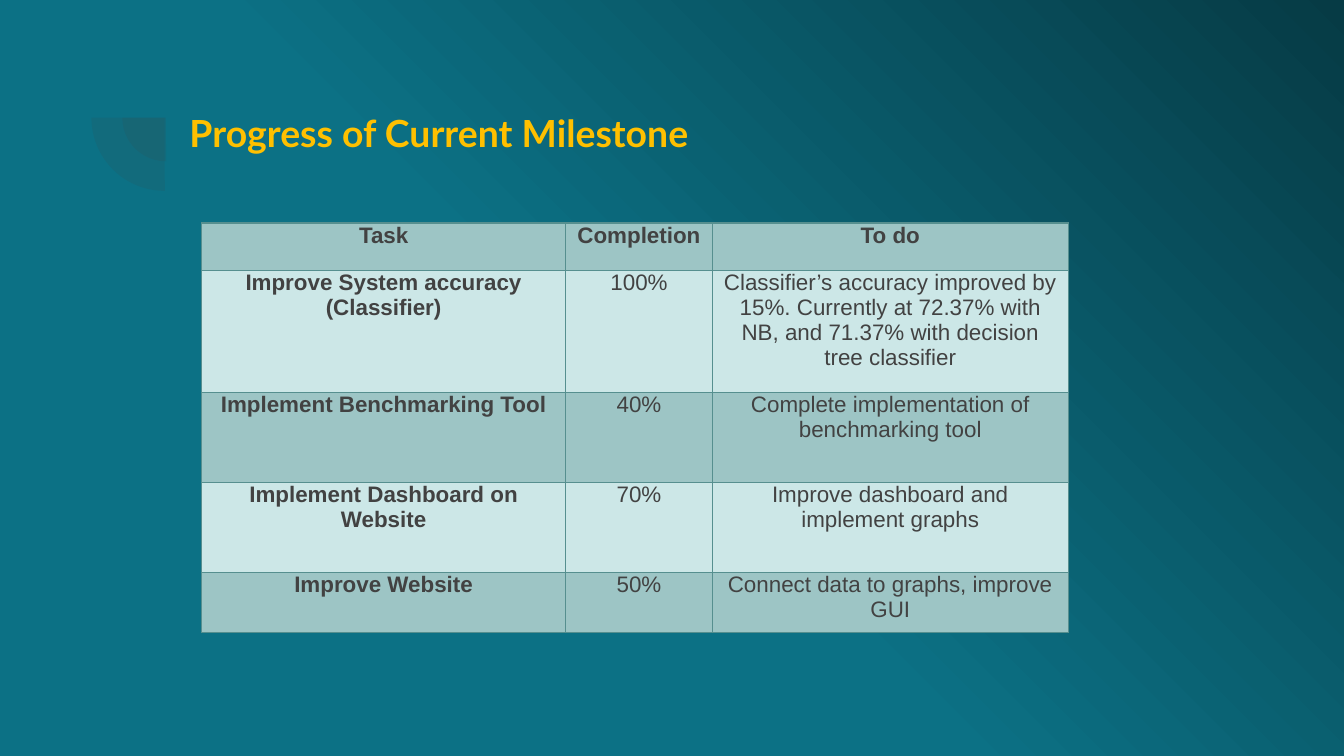
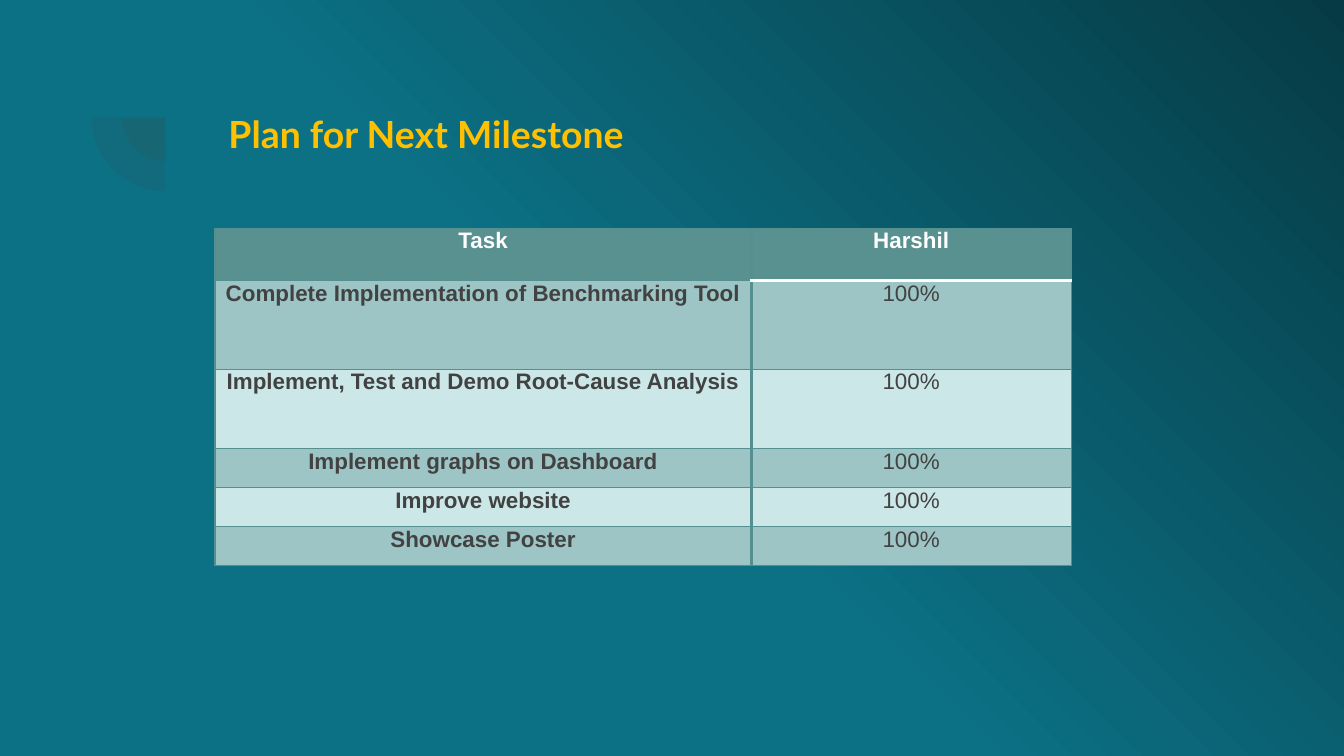
import pptx
import pptx.dml.color
import pptx.enum.shapes
import pptx.enum.text
import pptx.oxml
import pptx.oxml.ns
import pptx.util

SCALE = 9144
INK = "424242"
GOLD = "FFC000"
WHITE = "FFFFFF"
SAGE = "599191"
EDGE = "568F8F"
MID = "9DC5C5"
PALE = "CCE7E7"
TEAL = "0C7185"
NAVY = "063B45"
NS = pptx.oxml.ns.nsdecls("a")


def px(num):
    return pptx.util.Emu(num * SCALE)


def tint(code):
    return pptx.dml.color.RGBColor.from_string(code)


def style(run, face, size, code, bold):
    run.font.name = face
    run.font.size = pptx.util.Pt(size)
    run.font.color.rgb = tint(code)
    run.font.bold = bold


def set_back(master):
    master.background.fill.solid()
    props = master.element.xpath("p:cSld/p:bg/p:bgPr")[0]
    old = props.find(pptx.oxml.ns.qn("a:solidFill"))
    grad = pptx.oxml.parse_xml(
        f'<a:gradFill {NS} rotWithShape="1"><a:gsLst>'
        f'<a:gs pos="0"><a:srgbClr val="{TEAL}"><a:alpha val="85000"/></a:srgbClr></a:gs>'
        f'<a:gs pos="46000"><a:srgbClr val="{TEAL}"/></a:gs>'
        f'<a:gs pos="100000"><a:srgbClr val="{NAVY}"/></a:gs></a:gsLst>'
        '<a:path path="circle"><a:fillToRect l="0" t="100000" r="100000" b="0"/></a:path>'
        '</a:gradFill>')
    props.replace(old, grad)


def add_pie(slide, left, top, size):
    pie = slide.shapes.add_shape(
        pptx.enum.shapes.MSO_SHAPE.PIE, px(left), px(top), px(size), px(size))
    pie.rotation = 270
    pie.adjustments[0] = 107.93
    pie.adjustments[1] = 162
    pie.shadow.inherit = False
    pie.line.fill.background()
    pie.fill.solid()
    pie.fill.fore_color.rgb = tint(INK)
    color = pie.element.xpath("p:spPr/a:solidFill/a:srgbClr")[0]
    color.append(pptx.oxml.parse_xml(f'<a:alpha {NS} val="12000"/>'))


def add_page(deck, title, box, pad):
    slide = deck.slides.add_slide(deck.slide_layouts[5])
    add_pie(slide, 91, 55, 65)
    add_pie(slide, 68, 33, 109)
    head = slide.shapes.title
    head.left, head.top, head.width, head.height = map(px, box)
    frame = head.text_frame
    frame.text = title
    frame.word_wrap = True
    frame.auto_size = pptx.enum.text.MSO_AUTO_SIZE.NONE
    frame.vertical_anchor = pptx.enum.text.MSO_ANCHOR.TOP
    frame.margin_left = frame.margin_right = px(10)
    frame.margin_top = frame.margin_bottom = px(pad)
    frame.paragraphs[0].alignment = pptx.enum.text.PP_ALIGN.LEFT
    style(frame.paragraphs[0].runs[0], "Lato", 20, GOLD, True)
    return slide


def set_edge(cell, side, code, width):
    props = cell._tc.get_or_add_tcPr()
    props.append(pptx.oxml.parse_xml(
        f'<a:ln{side} {NS} w="{pptx.util.Pt(width)}"><a:solidFill>'
        f'<a:srgbClr val="{code}"/></a:solidFill></a:ln{side}>'))


def fill_cell(cell, text, fill, ink, bold):
    cell.fill.solid()
    cell.fill.fore_color.rgb = tint(fill)
    cell.margin_left = cell.margin_right = px(7)
    cell.margin_top = cell.margin_bottom = 0
    cell.text_frame.text = text
    para = cell.text_frame.paragraphs[0]
    para.alignment = pptx.enum.text.PP_ALIGN.CENTER
    style(para.runs[0], "Arial", 12, ink, bold)


def add_grid(slide, left, top, cols, rows, data, head, ink, bands, rule, white=False):
    frame = slide.shapes.add_table(
        len(rows), len(cols), px(left), px(top), px(sum(cols)), px(sum(rows)))
    table = frame.table
    table.first_row = table.horz_banding = False
    for col, width in zip(table.columns, cols):
        col.width = px(width)
    for row, height in zip(table.rows, rows):
        row.height = px(height)
    last = len(cols) - 1
    for r, line in enumerate(data):
        for c, text in enumerate(line):
            cell = table.cell(r, c)
            set_edge(cell, "L", EDGE, rule if c else 0.75)
            set_edge(cell, "R", EDGE, rule if c < last else 0.75)
            for side, row in (("T", 1), ("B", 0)):
                bright = white and c == last and r == row
                set_edge(cell, side, WHITE if bright else EDGE, 2 if bright else 0.75)
            fill = bands[(r - 1) % 2] if r else head
            fill_cell(cell, text, fill, INK if r else ink, r == 0 or c == 0)


def main():
    deck = pptx.Presentation()
    deck.slide_width = px(1000)
    deck.slide_height = deck.slide_width * 9 // 16
    set_back(deck.slide_master)

    now = add_page(deck, "Progress of Current Milestone", (131, 72, 769, 74), 10)
    add_grid(now, 150, 166, (271, 109, 265), (35, 91, 67, 67, 45), (
        ("Task", "Completion", "To do"),
        ("Improve System accuracy (Classifier)", "100%",
         "Classifier’s accuracy improved by 15%. Currently at 72.37% with NB, "
         "and 71.37% with decision tree classifier"),
        ("Implement Benchmarking Tool", "40%",
         "Complete implementation of benchmarking tool"),
        ("Implement Dashboard on Website", "70%",
         "Improve dashboard and implement graphs"),
        ("Improve Website", "50%", "Connect data to graphs, improve GUI"),
    ), MID, INK, (PALE, MID), 0.75)

    plan = add_page(deck, "Plan for Next Milestone", (160, 78, 467, 44), 5)
    tasks = (
        "Complete Implementation of Benchmarking Tool",
        "Implement, Test and Demo Root-Cause Analysis",
        "Implement graphs on Dashboard",
        "Improve website",
        "Showcase Poster",
    )
    data = [("Task", "Harshil")] + [(task, "100%") for task in tasks]
    add_grid(plan, 160, 170, (399, 238), (39, 66, 59, 29, 29, 29), data,
             SAGE, WHITE, (MID, PALE), 2, white=True)

    deck.save("out.pptx")


if __name__ == "__main__":
    main()
